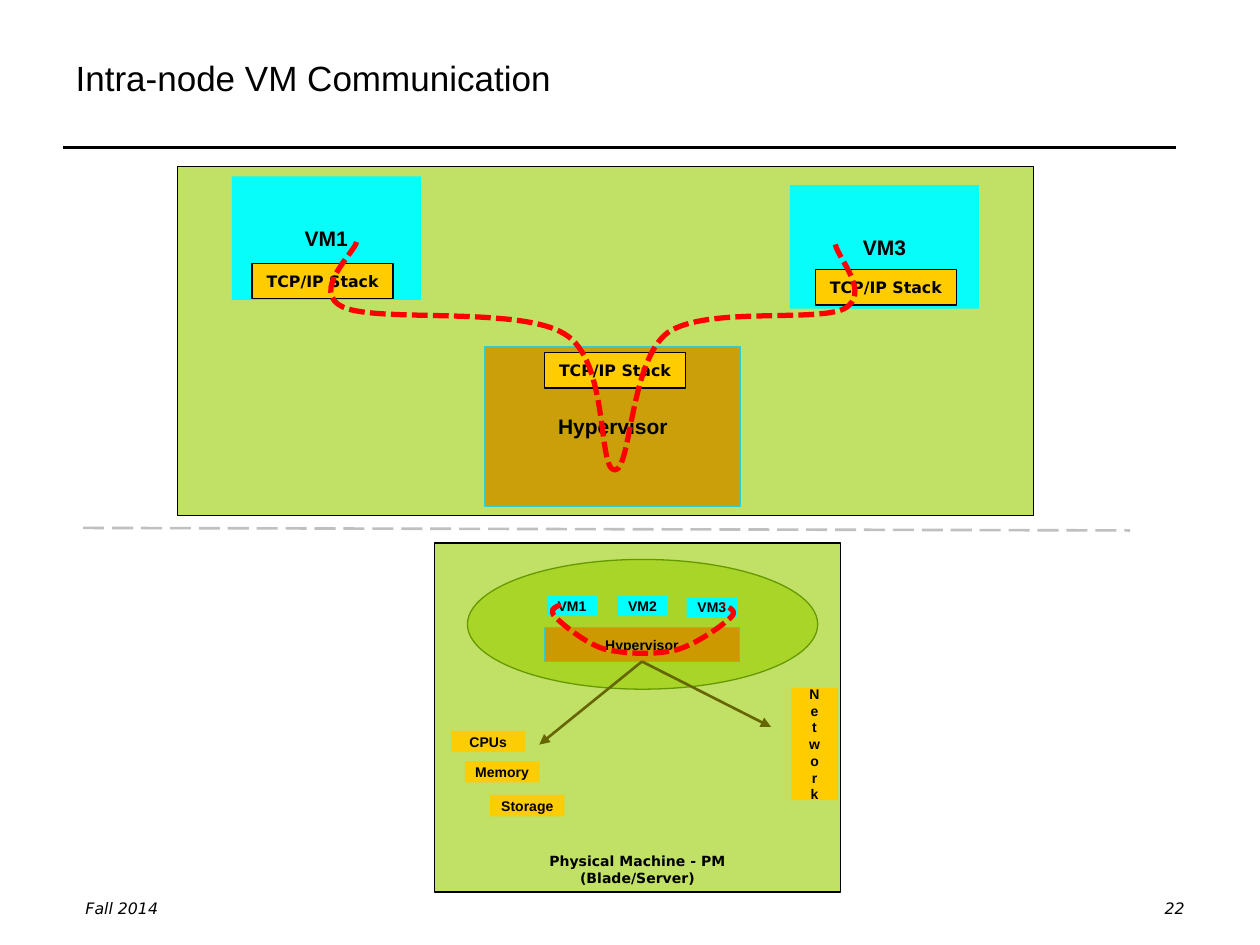
from lxml import etree
from pptx import Presentation
from pptx.dml.color import RGBColor
from pptx.enum.dml import MSO_LINE
from pptx.enum.shapes import MSO_CONNECTOR, MSO_SHAPE
from pptx.enum.text import MSO_ANCHOR, PP_ALIGN
from pptx.oxml.ns import qn
from pptx.util import Pt

PX = 9144  # 100 px to the inch
RECT, OVAL = MSO_SHAPE.RECTANGLE, MSO_SHAPE.OVAL
LINE = MSO_CONNECTOR.STRAIGHT
DOTS, DASHES = MSO_LINE.SQUARE_DOT, MSO_LINE.LONG_DASH
TOP, MIDDLE, BOTTOM = MSO_ANCHOR.TOP, MSO_ANCHOR.MIDDLE, MSO_ANCHOR.BOTTOM
LEFT, CENTER, RIGHT = PP_ALIGN.LEFT, PP_ALIGN.CENTER, PP_ALIGN.RIGHT
SANS, DEJAVU = "Arial", "DejaVu Sans"
COLORS = {
    "black": "000000", "green": "99CC00", "rim": "669900", "cyan": "00FFFF",
    "brown": "CC9900", "teal": "33CCCC", "gold": "FFCC00", "olive": "666600",
    "red": "FF0000", "gray": "C0C0C0",
}
RGB = {name: RGBColor.from_string(code) for name, code in COLORS.items()}


def write(shape, text, size, font=SANS, align=CENTER, anchor=MIDDLE, bold=True):
    frame = shape.text_frame
    frame.text = text
    frame.vertical_anchor = anchor
    for para in frame.paragraphs:
        para.alignment = align
        para.font.size = Pt(size)
        para.font.name = font
        para.font.bold = bold
        para.font.color.rgb = RGB["black"]
    return frame


def box(place, fill, edge=None, alpha=100, kind=RECT):
    shape = slide.shapes.add_shape(kind, *[n * PX for n in place])
    shape.shadow.inherit = False
    shape.fill.solid()
    shape.fill.fore_color.rgb = RGB[fill]
    if alpha < 100:
        tint = shape._element.spPr.find(qn("a:solidFill"))[0]
        etree.SubElement(tint, qn("a:alpha"), val=str(alpha * 1000))
    if edge:
        shape.line.color.rgb = RGB[edge]
        shape.line.width = Pt(0.75)
    else:
        shape.line.fill.background()
    return shape


deck = Presentation()
deck.slide_width, deck.slide_height = 1000 * PX, 750 * PX
slide = deck.slides.add_slide(deck.slide_layouts[5])

# Title
title = slide.shapes.title
title.left, title.top, title.width, title.height = [n * PX for n in (50, 30, 900, 53)]
write(title, "Intra-node VM Communication", 20, align=LEFT, anchor=BOTTOM, bold=False)

# Footer
for place, text, align in [
    ((58, 708, 225, 25), "Fall 2014", LEFT),
    ((717, 708, 233, 25), "22", RIGHT),
]:
    note = slide.shapes.add_textbox(*[n * PX for n in place])
    frame = write(note, text, 9, DEJAVU, align, TOP, False)
    frame.word_wrap = True
    frame.paragraphs[0].font.italic = True

# Panels
box((141, 132, 679, 277), "green", "black", 60)
server = box((345, 431, 322, 277), "green", "black", 60)
write(server, "Physical Machine - PM\n(Blade/Server)", 8, DEJAVU, anchor=BOTTOM)
box((371, 444, 278, 103), "green", "rim", 60, OVAL)

# Labelled blocks
blocks = [
    ((184, 140, 150, 98), "VM1", "cyan", None, 96, 12),
    ((627, 147, 150, 98), "VM3", "cyan", None, 96, 12),
    ((385, 275, 203, 127), "Hypervisor", "brown", "teal", 90, 12),
    ((434, 473, 40, 16), "VM1", "cyan", None, 100, 8),
    ((490, 473, 40, 16), "VM2", "cyan", None, 100, 8),
    ((545, 474, 40, 16), "VM3", "cyan", None, 100, 8),
    ((358, 580, 59, 17), "CPUs", "gold", None, 96, 8),
    ((369, 604, 59, 17), "Memory", "gold", None, 96, 8),
    ((389, 631, 59, 17), "Storage", "gold", None, 96, 8),
    ((628, 546, 37, 89), "\n".join("Network"), "gold", None, 100, 8),
    ((432, 498, 155, 27), "Hypervisor", "brown", "teal", 100, 8),
]
for place, text, fill, edge, alpha, size in blocks:
    block = box(place, fill, edge, alpha)
    frame = write(block, text, size)
    frame.margin_left = frame.margin_right = 0
    frame.margin_top = frame.margin_bottom = 0
    frame.word_wrap = False
core = block  # the small hypervisor, last in the list

# Network stacks
for left, top in [(200, 209), (432, 280), (647, 214)]:
    stack = box((left, top, 112, 28), "gold", "black")
    write(stack, "TCP/IP Stack", 9, DEJAVU).word_wrap = False

# Rule, divider and arrows
for ends, color, dash, arrow in [
    ((50, 117, 933, 117), "black", None, False),
    ((66, 419, 897, 421), "gray", DASHES, False),
    ((510, 525, 428, 591), "olive", None, True),
    ((510, 525, 612, 577), "olive", None, True),
]:
    link = slide.shapes.add_connector(LINE, *[n * PX for n in ends])
    link.line.color.rgb = RGB[color]
    link.line.width = Pt(1.5)
    if dash:
        link.line.dash_style = dash
    if arrow:
        link.begin_connect(core, 2)
        etree.SubElement(link.line._get_or_add_ln(), qn("a:tailEnd"), type="triangle")
    etree.SubElement(link._element.spPr, qn("a:effectLst"))

# Dotted routes: a start, then three Bézier points for each curve
routes = [
    [(445, 480), (440, 482), (435, 484), (441, 490), (447, 496), (464, 510),
     (479, 515), (495, 519), (519, 520), (536, 516), (552, 512), (574, 496),
     (580, 490), (587, 484), (575, 481), (574, 480)],
    [(283, 192), (282, 200), (245, 232), (273, 244), (300, 256), (413, 243),
     (448, 265), (484, 286), (474, 373), (488, 373), (501, 373), (500, 286),
     (530, 264), (560, 243), (648, 256), (670, 245), (692, 233), (665, 205),
     (663, 194)],
]
for start, *points in routes:
    maker = slide.shapes.build_freeform(*start, scale=PX)
    maker.add_line_segments(points, close=False)
    route = maker.convert_to_shape()
    route.shadow.inherit = False
    route.fill.background()
    route.line.color.rgb = RGB["red"]
    route.line.width = Pt(3)
    route.line.dash_style = DOTS
    steps = list(route._element.iter(qn("a:lnTo")))
    for i in range(0, len(steps), 3):
        curve = etree.SubElement(steps[i].getparent(), qn("a:cubicBezTo"))
        for step in steps[i:i + 3]:
            curve.append(step[0])
            step.getparent().remove(step)

deck.save("out.pptx")
